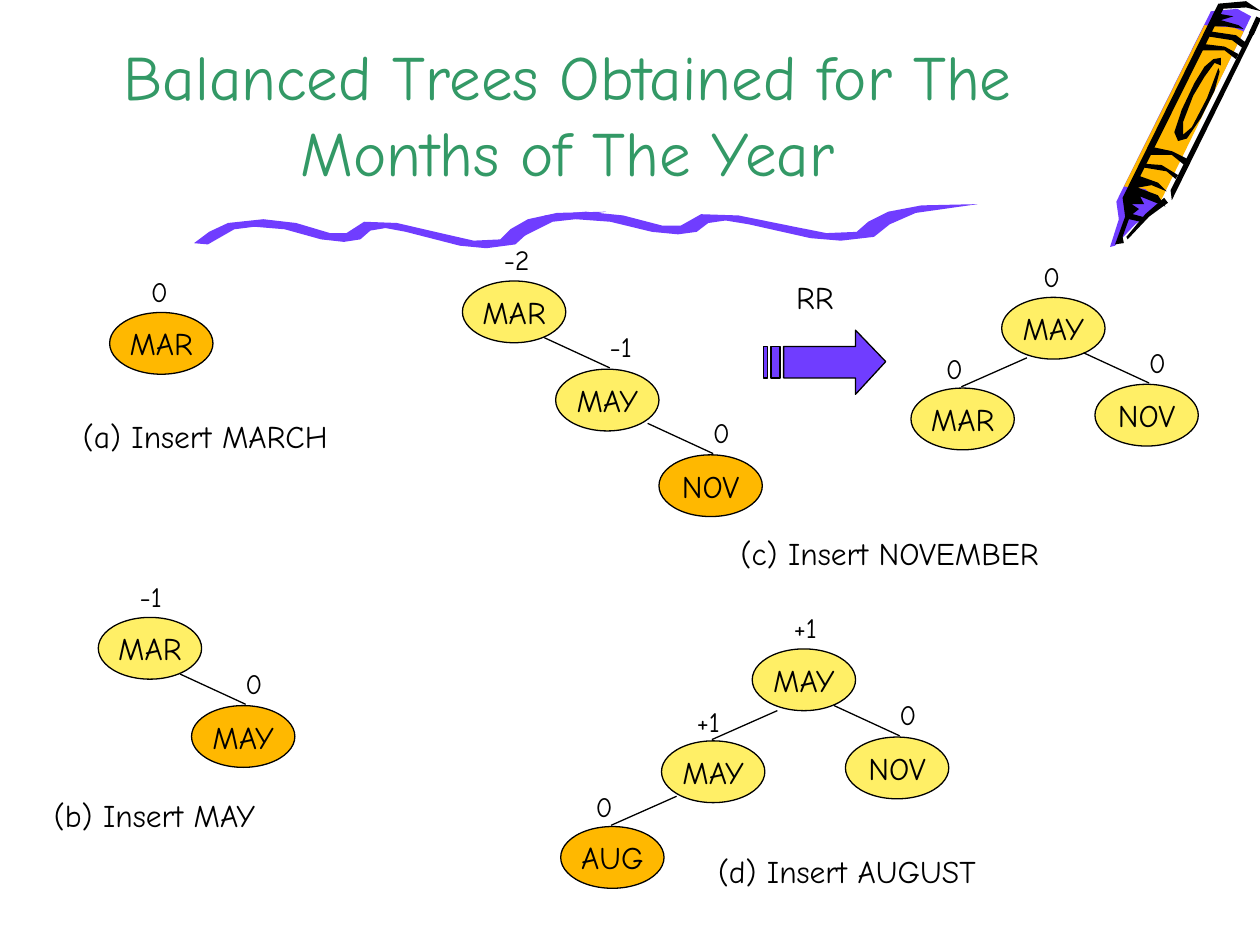
from collections import namedtuple

from lxml import etree
from pptx import Presentation
from pptx.dml.color import RGBColor
from pptx.enum.shapes import MSO_CONNECTOR, MSO_SHAPE
from pptx.enum.text import MSO_ANCHOR, PP_ALIGN
from pptx.oxml.ns import qn
from pptx.util import Inches, Pt

OVAL = MSO_SHAPE.OVAL
STRAIGHT = MSO_CONNECTOR.STRAIGHT
CENTER, LEFT = PP_ALIGN.CENTER, PP_ALIGN.LEFT
MIDDLE, TOP, BOTTOM = MSO_ANCHOR.MIDDLE, MSO_ANCHOR.TOP, MSO_ANCHOR.BOTTOM

SLIDE_WIDTH, SLIDE_HEIGHT = Inches(10), Inches(7.5)
COLUMNS = 100  # the grid is 100 columns by 75 rows of square cells
CELL = SLIDE_WIDTH / COLUMNS
FONT = "Comic Neue"
COLORS = {
    "title": "339966",
    "ink": "000000",
    "purple": "703DFF",
    "orange": "FFB800",
    "yellow": "FFEF66",
}

Box = namedtuple("Box", "left top width height")
Node = namedtuple("Node", "label side column row balance fill")

NODE_WIDTH, NODE_HEIGHT = 8.2, 4.9
BALANCE_OFFSETS = {"root": (2.3, -3.5), "right": (3.3, -3.6), "left": (1.8, -3.4)}
# Start and end of the branch to a child, measured from the child's corner
BRANCHES = {"right": ((-0.9, -2.5), (4.3, -0.1)), "left": ((9.2, -2.4), (4, -0.1))}

# Crayon outlines on a 121 by 196 grid, back to front
CRAYON_GRID = (121, 196)
CRAYON = [
    ("purple", [(113, 13), (37, 166), (21, 178), (5, 195), (1, 196), (8, 174),
                (6, 160), (81, 9), (102, 7)]),
    ("orange", [(41, 160), (29, 150), (12, 148), (76, 20), (99, 22), (107, 25)]),
    ("ink", [(47, 161), (32, 172), (15, 190), (14, 188), (29, 170), (44, 157)]),
    ("ink", [(107, 23), (93, 21), (81, 21), (88, 11), (99, 13), (89, 16), (103, 20)]),
    ("ink", [(88, 57), (84, 72), (73, 94), (62, 110), (55, 112), (52, 105), (58, 87),
             (68, 66), (76, 53), (83, 47), (89, 46), (89, 52), (84, 50), (76, 61),
             (67, 76), (59, 97), (59, 107), (66, 101), (78, 78), (87, 54)]),
    ("ink", [(117, 23), (50, 159), (49, 151), (113, 23)]),
    ("ink", [(45, 164), (39, 155), (23, 149), (34, 147), (46, 152), (39, 145),
             (25, 140), (91, 7), (109, 6), (121, 9), (109, 1), (87, 3), (11, 157),
             (13, 172), (5, 194), (12, 193), (11, 188), (16, 174), (25, 176),
             (30, 173), (19, 170), (24, 166), (18, 162), (28, 162), (25, 156)]),
    ("ink", [(53, 142), (46, 136), (28, 133), (29, 130), (42, 131), (55, 139)]),
    ("ink", [(60, 131), (50, 123), (33, 123), (36, 117), (50, 120), (62, 126)]),
    ("ink", [(101, 47), (92, 40), (73, 40), (76, 35), (92, 37), (103, 43)]),
    ("ink", [(106, 38), (98, 32), (79, 29), (81, 25), (101, 28), (109, 34)]),
]

WAVE_GRID = (327, 29)
WAVE = [(11, 26), (32, 14), (48, 12), (72, 14), (101, 22), (119, 24), (132, 22),
        (140, 15), (152, 13), (168, 16), (211, 27), (232, 29), (255, 26), (266, 16),
        (284, 7), (327, 0), (288, 1), (265, 6), (251, 14), (243, 22), (222, 23),
        (200, 18), (161, 9), (135, 8), (121, 17), (108, 17), (81, 9), (55, 6),
        (27, 9), (12, 16), (0, 25)]

ARROW_GRID = (97, 51)
ARROW = [
    [(16, 13), (73, 13), (73, 0), (97, 25), (73, 51), (73, 38), (16, 38)],
    [(0, 13), (3, 13), (3, 38), (0, 38)],
    [(6, 13), (13, 13), (13, 38), (6, 38)],
]

TREES = [
    (Box(8.7, 24.8, 8.2, 4.9), [Node("MAR", "root", 0, 0, "0", "orange")]),
    (Box(7.8, 49, 15.6, 11.9), [
        Node("MAR", "root", 0, 0, "-1", "yellow"),
        Node("MAY", "right", 7.4, 7, "0", "orange")]),
    (Box(36.7, 22.3, 23.8, 18.7), [
        Node("MAR", "root", 0, 0, "-2", "yellow"),
        Node("MAY", "right", 7.4, 7, "-1", "yellow"),
        Node("NOV", "right", 15.6, 13.8, "0", "orange")]),
    (Box(72.3, 23.6, 22.8, 12.1), [
        Node("MAY", "root", 7.2, 0, "0", "yellow"),
        Node("NOV", "right", 14.6, 6.9, "0", "yellow"),
        Node("MAR", "left", 0, 7.2, "0", "yellow")]),
    (Box(44.5, 51.5, 30.8, 19), [
        Node("MAY", "root", 15.2, 0, "+1", "yellow"),
        Node("NOV", "right", 22.6, 7, "0", "yellow"),
        Node("MAY", "left", 8, 7.3, "+1", "yellow"),
        Node("AUG", "left", 0, 14.1, "0", "orange")]),
]

CAPTIONS = [
    ("(a) Insert MARCH", Box(5.6, 32.6, 24.3, 4)),
    ("(b) Insert MAY", Box(3.3, 62.7, 20.3, 4)),
    ("(c) Insert NOVEMBER", Box(57.8, 41.9, 28.9, 4)),
    ("RR", Box(62.2, 21.6, 6.8, 4)),
    ("(d) Insert AUGUST", Box(56, 67.1, 26.2, 4)),
]


def cells(*lengths):
    return [round(length * CELL) for length in lengths]


def paint(shape, fill, line_width=0):
    shape.shadow.inherit = False
    shape.fill.solid()
    shape.fill.fore_color.rgb = RGBColor.from_string(COLORS[fill])
    if line_width:
        shape.line.color.rgb = RGBColor.from_string(COLORS["ink"])
        shape.line.width = Pt(line_width)
    else:
        shape.line.fill.background()


def write(shape, text, size, color="ink", align=LEFT, anchor=TOP, wrap=True, before=0):
    frame = shape.text_frame
    paragraph = frame.paragraphs[0]
    paragraph.text = text
    font = paragraph.runs[0].font
    formats = [
        (frame, {"word_wrap": wrap, "vertical_anchor": anchor}),
        (paragraph, {"alignment": align, "space_before": Pt(before)}),
        (font, {"name": FONT, "size": Pt(size)}),
    ]
    for target, values in formats:
        for name, value in values.items():
            setattr(target, name, value)
    font.color.rgb = RGBColor.from_string(COLORS[color])


def add_label(slide, box, text, size, **values):
    write(slide.shapes.add_textbox(*cells(*box)), text, size, **values)


def add_line(slide, start, end, width):
    line = slide.shapes.add_connector(STRAIGHT, *cells(*start, *end))
    line.line.color.rgb = RGBColor.from_string(COLORS["ink"])
    line.line.width = Pt(width)
    etree.SubElement(line._element.spPr, qn("a:effectLst"))


def add_outline(slide, box, grid, contours, fill, line_width=0):
    """Draw closed contours, whose points lie on a grid stretched over the box."""
    placed = [[cells(box.left + x * box.width / grid[0], box.top + y * box.height / grid[1])
               for x, y in contour] for contour in contours]
    builder = slide.shapes.build_freeform(*placed[0][0])
    for index, (start, *others) in enumerate(placed):
        if index:
            builder.move_to(*start)
        builder.add_line_segments(others, close=True)
    paint(builder.convert_to_shape(), fill, line_width)


def draw_crayon(slide, box):
    for fill, contour in CRAYON:
        add_outline(slide, box, CRAYON_GRID, [contour], fill)
    right = box.left + box.width
    add_line(slide, (right - 0.2, box.top + 1.4), (right - 0.8, box.top + 2.7), 3)


def draw_waves(slide, box):
    """Two overlapping strokes, the second longer and a little higher."""
    first = Box(box.left, box.top + 0.6, 32.7, 2.9)
    second = Box(box.left + box.width - 37.4, box.top, 37.4, 2.9)
    for stroke in (first, second):
        add_outline(slide, stroke, WAVE_GRID, [WAVE], "purple")


def draw_tree(slide, box, nodes):
    for node in nodes:
        left, top = box.left + node.column, box.top + node.row
        if node.side in BRANCHES:
            start, end = [(left + x, top + y) for x, y in BRANCHES[node.side]]
            add_line(slide, start, end, 0.75)
        oval = slide.shapes.add_shape(OVAL, *cells(left, top, NODE_WIDTH, NODE_HEIGHT))
        paint(oval, node.fill, 0.75)
        write(oval, node.label, 18, align=CENTER, anchor=MIDDLE, wrap=False)
        x, y = BALANCE_OFFSETS[node.side]
        add_label(slide, Box(left + x, top + y, 4.4, 3.7), node.balance, 16, before=10)


def main():
    presentation = Presentation()
    presentation.slide_width, presentation.slide_height = SLIDE_WIDTH, SLIDE_HEIGHT
    slide = presentation.slides.add_slide(presentation.slide_layouts[6])
    draw_crayon(slide, Box(88, 0, 12.1, 19.6))
    draw_waves(slide, Box(15.4, 16.2, 62.2, 3.5))
    add_label(slide, Box(7.5, 0, 75.1, 15.5),
              "Balanced Trees Obtained for The Months of The Year", 36,
              color="title", align=CENTER, anchor=BOTTOM)
    for box, nodes in TREES:
        draw_tree(slide, box, nodes)
    add_outline(slide, Box(60.6, 26.2, 9.7, 5.1), ARROW_GRID, ARROW, "purple", 0.75)
    for text, box in CAPTIONS:
        add_label(slide, box, text, 18, before=11.2)
    presentation.save("out.pptx")


if __name__ == "__main__":
    main()
